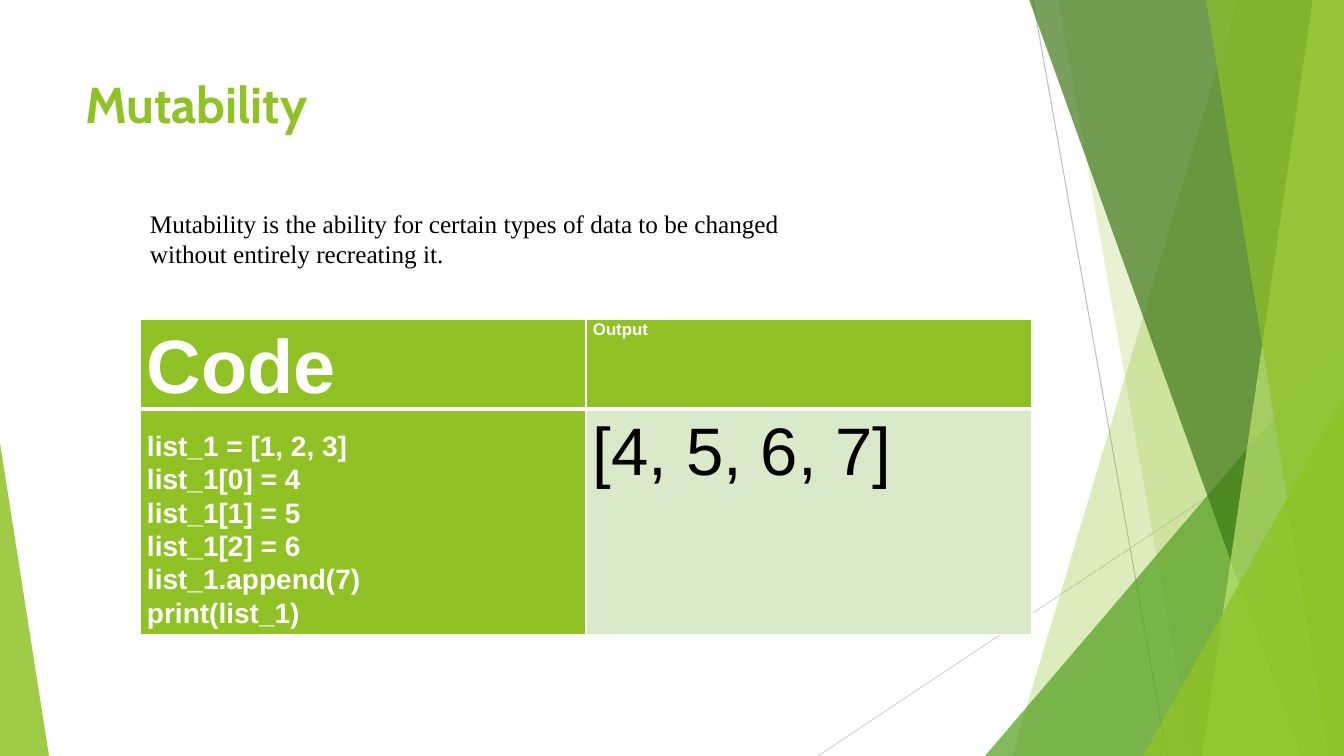
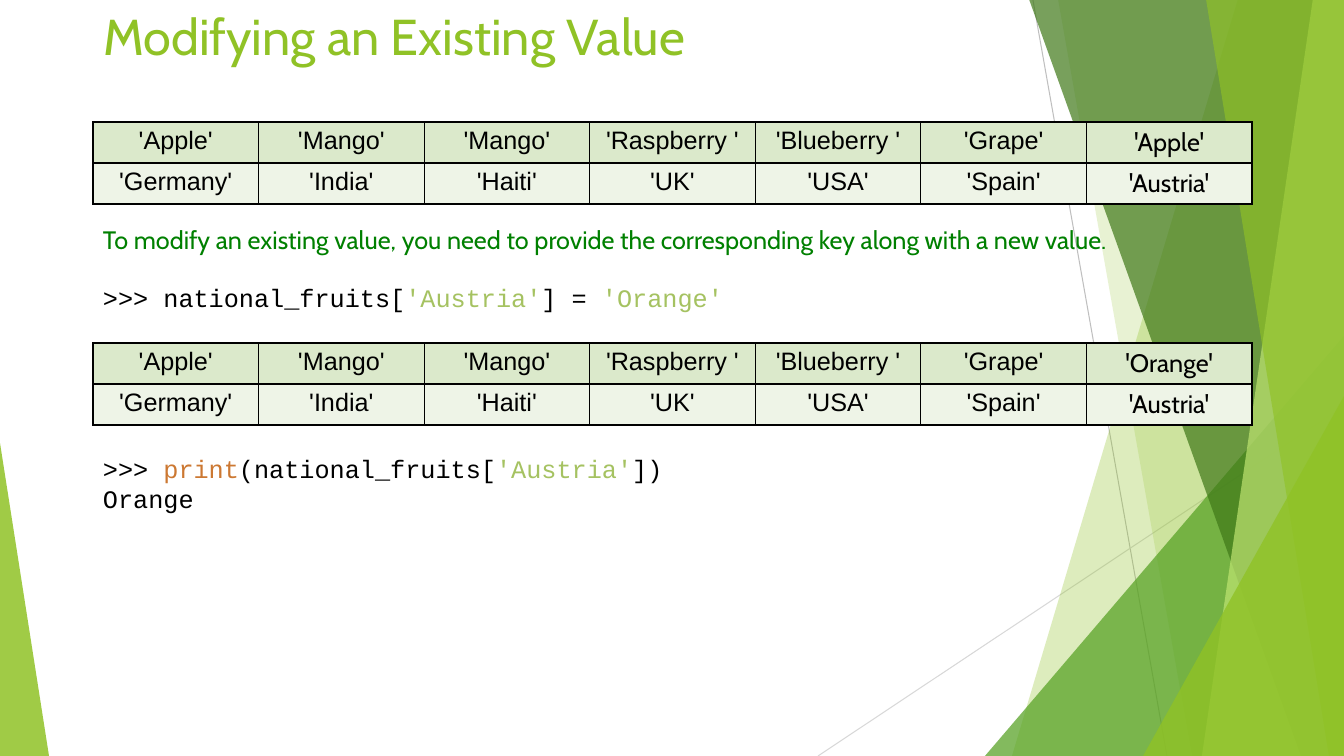
from dataclasses import dataclass

from lxml import etree
from pptx import Presentation
from pptx.dml.color import RGBColor
from pptx.enum.shapes import MSO_CONNECTOR, MSO_SHAPE
from pptx.enum.text import MSO_ANCHOR, MSO_AUTO_SIZE, PP_ALIGN
from pptx.oxml.ns import qn
from pptx.util import Pt

LINE = MSO_CONNECTOR.STRAIGHT
TRIANGLE = MSO_SHAPE.ISOSCELES_TRIANGLE
TOP, MIDDLE, BOTTOM = MSO_ANCHOR.TOP, MSO_ANCHOR.MIDDLE, MSO_ANCHOR.BOTTOM
LEFT, CENTER = PP_ALIGN.LEFT, PP_ALIGN.CENTER

WIDE, HIGH = 1344, 756
SCALE = 914400 / 100.8


@dataclass(frozen=True)
class Theme:
    lime: str = "90C226"
    leaf: str = "54A021"
    forest: str = "3F7818"
    pale: str = "BFE471"
    mint: str = "DBE9CB"
    mist: str = "EEF4E7"
    white: str = "FFFFFF"
    black: str = "000000"
    note: str = "008000"
    string: str = "A5C261"
    call: str = "CC7832"
    head: str = "Cabin"
    sans: str = "Arial"
    serif: str = "Times New Roman"
    mono: str = "Courier New"
    title: int = 36
    body: int = 18
    code: int = 20
    small: int = 12
    large: int = 48
    huge: int = 54


T = Theme()

# Lines: start, end, colour
RAYS = [
    ((1033, 0), (1167, HIGH), "BFBFBF"),
    ((WIDE, 406), (818, HIGH), "D8D8D8"),
]
# Bands reach the right edge: top x, bottom x. Triangles: box, apex side.
FACETS = [
    ("band", (1238, 1012), T.lime, 30),
    ("band", (1058, 1192), T.lime, 20),
    ("peak", (985, 336, 359, 420, 1), T.leaf, 72),
    ("band", (1029, 1301), T.forest, 70),
    ("band", (1313, 1202), T.pale, 70),
    ("band", (1206, 1329), T.lime, 65),
    ("peak", (1143, 396, 201, 360, 1), T.lime, 80),
    ("peak", (0, 443, 49, 313, 0), T.lime, 85),
]

MEANING = ("Mutability is the ability for certain types of data to be changed "
           "without entirely recreating it.")
LISTING = ["list_1 = [1, 2, 3]", "list_1[0] = 4", "list_1[1] = 5",
           "list_1[2] = 6", "list_1.append(7)", "print(list_1)"]
# Lines, size, colour, bold, fill, anchor
DEMO = [
    [(["Code"], T.huge, T.white, True, T.lime, TOP),
     (["Output"], T.small, T.white, True, T.lime, TOP)],
    [(LISTING, T.code, T.white, True, T.lime, BOTTOM),
     (["[4, 5, 6, 7]"], T.large, T.black, False, T.mint, TOP)],
]

FRUITS = ["'Apple'", "'Mango'", "'Mango'", "'Raspberry '", "'Blueberry '", "'Grape'"]
LANDS = ["'Germany'", "'India'", "'Haiti'", "'UK'", "'USA'", "'Spain'", "'Austria'"]
STATES = [(122, "'Apple'"), (343, "'Orange'")]
ADVICE = ("To modify an existing value, you need to provide the corresponding "
          "key along with a new value.")
ASSIGN = [(">>> national_fruits[", T.black), ("'Austria'", T.string),
          ("] = ", T.black), ("'Orange'", T.string)]
SHOW = [(">>> ", T.black), ("print", T.call), ("(national_fruits[", T.black),
        ("'Austria'", T.string), ("])", T.black)]


def px(n):
    return round(n * SCALE)


def box(*sides):
    return [px(n) for n in sides]


def rgb(code):
    return RGBColor.from_string(code)


def write(para, runs, face, size, bold=False):
    """Add (text, colour) pairs to a paragraph."""
    for text, color in runs:
        run = para.add_run()
        run.text = text
        font = run.font
        font.name, font.size, font.bold = face, Pt(size), bold
        font.color.rgb = rgb(color)


def fill_text(frame, paras, gap=0):
    """Write (runs, face, size) paragraphs, with gap points between them."""
    frame.word_wrap = True
    for i, (runs, face, size) in enumerate(paras):
        para = frame.add_paragraph() if i else frame.paragraphs[0]
        if i:
            para.space_before = Pt(gap)
        write(para, runs, face, size)


def add_text(slide, area, paras, gap=0):
    fill_text(slide.shapes.add_textbox(*box(*area)).text_frame, paras, gap)


def add_ray(shapes, start, end, color):
    ray = shapes.add_connector(LINE, *box(*start, *end))
    ray.line.color.rgb = rgb(color)
    ray.line.width = Pt(0.75)
    etree.SubElement(ray.element.spPr, qn("a:effectLst"))


def add_facet(shapes, kind, data, color, alpha):
    if kind == "band":
        top, base = data
        pen = shapes.build_freeform(top, -1, scale=SCALE)
        pen.add_line_segments([(WIDE, -1), (WIDE, HIGH), (base, HIGH)])
        facet = pen.convert_to_shape()
    else:
        facet = shapes.add_shape(TRIANGLE, *box(*data[:4]))
        facet.adjustments[0] = data[4]
    facet.shadow.inherit = False
    facet.line.fill.background()
    facet.fill.solid()
    facet.fill.fore_color.rgb = rgb(color)
    tint = facet.element.spPr.find(qn("a:solidFill"))[0]
    etree.SubElement(tint, qn("a:alpha"), val=str(alpha * 1000))


def set_backdrop(layout, slide):
    """Draw the facets on a slide, then move them to its layout."""
    group = slide.shapes.add_group_shape()
    for ray in RAYS:
        add_ray(group.shapes, *ray)
    for facet in FACETS:
        add_facet(group.shapes, *facet)
    layout.shapes.element.insert(2, group.element)


def set_title(slide, text, area, bold=False):
    title = slide.shapes.title
    title.left, title.top, title.width, title.height = box(*area)
    frame = title.text_frame
    frame.auto_size = MSO_AUTO_SIZE.NONE
    frame.vertical_anchor = TOP
    frame.paragraphs[0].alignment = LEFT
    fill_text(frame, [])
    write(frame.paragraphs[0], [(text, T.lime)], T.head, T.title, bold)


def add_grid(slide, area, rows, cols):
    """Add a plain table with equal columns; area ends with its row heights."""
    left, top, width, heights = area
    frame = slide.shapes.add_table(rows, cols, *box(left, top, width, sum(heights)))
    grid = frame.table
    grid.first_row = grid.horz_banding = False
    for col in grid.columns:
        col.width = px(width / cols)
    for row, height in zip(grid.rows, heights):
        row.height = px(height)
    return grid


def style_cell(cell, fill, color, widths=(1, 1, 1, 1)):
    """Set the fill and the left, right, top and bottom borders."""
    props = cell._tc.get_or_add_tcPr()
    for side, width in zip("LRTB", widths):
        edge = etree.SubElement(props, qn(f"a:ln{side}"), w=str(Pt(width)))
        paint = etree.SubElement(edge, qn("a:solidFill"))
        etree.SubElement(paint, qn("a:srgbClr"), val=color)
    cell.fill.solid()
    cell.fill.fore_color.rgb = rgb(fill)


def add_demo(slide):
    grid = add_grid(slide, (140, 319, 892, (75, 225)), 2, 2)
    for r, row in enumerate(DEMO):
        for c, (lines, size, color, bold, fill, anchor) in enumerate(row):
            cell = grid.cell(r, c)
            style_cell(cell, fill, T.white, (1, 1, 3, 1) if r else (1, 1, 1, 3))
            cell.vertical_anchor = anchor
            cell.margin_left = cell.margin_right = px(7)
            cell.margin_top = 0
            cell.margin_bottom = px(5) if anchor == BOTTOM else 0
            frame = cell.text_frame
            for i, line in enumerate(lines):
                para = frame.add_paragraph() if i else frame.paragraphs[0]
                para.line_spacing = 1.07
                write(para, [(line, color)], T.sans, size, bold)


def add_fruits(slide, top, last):
    rows = [(FRUITS + [last], T.mint), (LANDS, T.mist)]
    count = len(LANDS)
    grid = add_grid(slide, (93, top, 1159, (41, 41)), len(rows), count)
    for r, (words, fill) in enumerate(rows):
        for c, word in enumerate(words):
            cell = grid.cell(r, c)
            style_cell(cell, fill, T.black)
            para = cell.text_frame.paragraphs[0]
            para.alignment = CENTER
            face = T.head if c == count - 1 else T.sans
            write(para, [(word, T.black)], face, T.body)


def main():
    deck = Presentation()
    deck.slide_width, deck.slide_height = box(WIDE, HIGH)
    layout = deck.slide_layouts[5]

    slide = deck.slides.add_slide(layout)
    set_backdrop(layout, slide)
    set_title(slide, "Mutability", (75, 68, 948, 145), bold=True)
    add_demo(slide)
    add_text(slide, (140, 203, 672, 72), [([(MEANING, T.black)], T.serif, T.body)])

    slide = deck.slides.add_slide(layout)
    set_title(slide, "Modifying an Existing Value", (93, 0, 852, 146))
    add_text(slide, (93, 219, 1251, 102),
             [([(ADVICE, T.note)], T.head, T.body), (ASSIGN, T.mono, T.body)], gap=20)
    for top, last in STATES:
        add_fruits(slide, top, last)
    add_text(slide, (93, 448, 1251, 72),
             [(SHOW, T.mono, T.body), ([("Orange", T.black)], T.mono, T.body)])

    deck.save("out.pptx")


if __name__ == "__main__":
    main()
